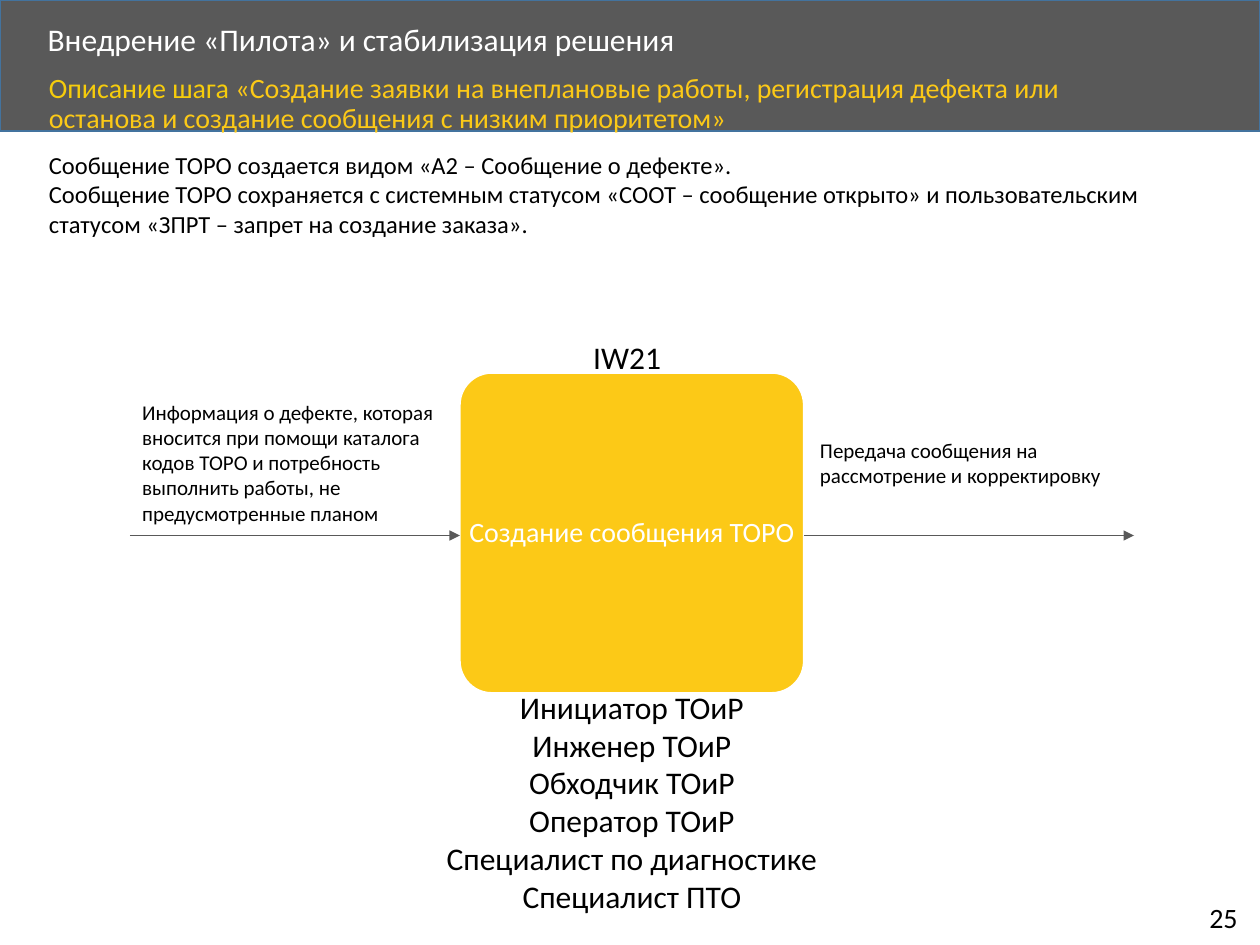
from dataclasses import dataclass
from lxml.etree import SubElement
from pptx import Presentation
from pptx.dml.color import RGBColor
from pptx.enum.shapes import MSO_CONNECTOR as Link, MSO_SHAPE as Shape
from pptx.enum.text import MSO_ANCHOR as Anchor, PP_ALIGN as Align
from pptx.oxml.ns import qn
from pptx.slide import Slide
from pptx.util import Inches, Pt

WHITE, BLACK, GREY, YELLOW = "FFFFFF", "000000", "595959", "FCC917"


def paint(color_format, value):
    color_format.rgb = RGBColor.from_string(value)


@dataclass
class Board:
    """Draws styled elements on a slide with a grid of 100 columns and 75 rows."""
    slide: Slide
    font: str = "Calibri"
    cell: float = 0.1

    def span(self, *cells):
        return [Inches(count * self.cell) for count in cells]

    def block(self, place, kind, fill, outline, radius=None):
        block = self.slide.shapes.add_shape(kind, *self.span(*place))
        block.shadow.inherit = False
        block.fill.solid()
        paint(block.fill.fore_color, fill)
        paint(block.line.color, outline)
        block.line.width = Pt(1)
        if radius is not None:
            block.adjustments[0] = radius

    def text(self, place, paragraphs, size, color=BLACK, align=Align.LEFT,
             anchor=Anchor.TOP, spacing=1.0, wrap=True, inset=None):
        frame = self.slide.shapes.add_textbox(*self.span(*place)).text_frame
        frame.word_wrap = wrap
        frame.vertical_anchor = anchor
        if inset is not None:
            frame.margin_left = frame.margin_right = Inches(inset)
            frame.margin_top = frame.margin_bottom = Inches(inset)
        for index, words in enumerate(paragraphs):
            paragraph = frame.add_paragraph() if index else frame.paragraphs[0]
            paragraph.alignment = align
            paragraph.line_spacing = spacing
            paragraph.font.size = Pt(size)
            paragraph.font.name = self.font
            paint(paragraph.font.color, color)
            paragraph.add_run().text = words
        return frame

    def arrow(self, start, end, row):
        left, right, level = self.span(start, end, row)
        arrow = self.slide.shapes.add_connector(Link.STRAIGHT, left, level, right, level)
        paint(arrow.line.color, GREY)
        arrow.line.width = Pt(0.5)
        SubElement(arrow.line._get_or_add_ln(), qn("a:tailEnd"), type="triangle")
        SubElement(arrow._element.spPr, qn("a:effectLst"))


def main():
    deck = Presentation()
    deck.slide_width, deck.slide_height = Inches(10), Inches(7.5)
    board = Board(deck.slides.add_slide(deck.slide_layouts[6]))

    board.block((0, 0, 100, 10.4), Shape.RECTANGLE, GREY, "43739E")
    board.text((2.8, 1.4, 80.7, 3.8), ["Внедрение «Пилота» и стабилизация решения"], 18,
               WHITE, anchor=Anchor.MIDDLE, spacing=0.9)
    board.text((95, 71, 4.6, 3.7), ["25"], 16, wrap=False)
    subtitle = board.text((2.9, 5.4, 86.5, 4.5), ["Описание шага "], 16, "F6CC0C", spacing=0.9)
    step_name = subtitle.paragraphs[0].add_run()
    step_name.text = ("«Создание заявки на внеплановые работы, регистрация дефекта или "
                      "останова и создание сообщения с низким приоритетом»")
    paint(step_name.font.color, YELLOW)

    step_left, step_top, step_width, step_height = step = (36.5, 29.6, 27.3, 25.4)
    step_right, flow_row, flow_length = step_left + step_width, 42.5, 26.2
    board.block(step, Shape.ROUNDED_RECTANGLE, YELLOW, WHITE, radius=0.1)
    board.text((step_left + 0.6, step_top + 0.8, step_width - 1.2, step_height - 1.5),
               ["Создание сообщения ТОРО"], 16, WHITE, Align.CENTER, Anchor.MIDDLE, 0.9, inset=0.01)
    for start in (step_left - flow_length, step_right):
        board.arrow(start, start + flow_length, flow_row)

    board.text((10.3, 31.2, 25.6, 11.1),
               ["Информация о дефекте, которая вносится при помощи каталога кодов ТОРО "
                "и потребность выполнить работы, не предусмотренные планом"], 12)
    board.text((64.1, 34.2, 25.7, 5), ["Передача сообщения на рассмотрение и корректировку"], 12)
    board.text((34.2, 54.1, 31.9, 19.2),
               ["Инициатор ТОиР", "Инженер ТОиР", "Обходчик ТОиР", "Оператор ТОиР",
                "Специалист по диагностике", "Специалист ПТО"], 18, align=Align.CENTER)
    board.text((46.1, 26.3, 7.5, 4), ["IW21"], 18, wrap=False)
    board.text((2.9, 11.4, 94.6, 10.4),
               ["Сообщение ТОРО создается видом «A2 – Сообщение о дефекте».",
                "Сообщение ТОРО сохраняется с системным статусом «СООТ – сообщение открыто» "
                "и пользовательским статусом «ЗПРТ – запрет на создание заказа»."], 14)
    deck.save("out.pptx")


if __name__ == "__main__":
    main()
